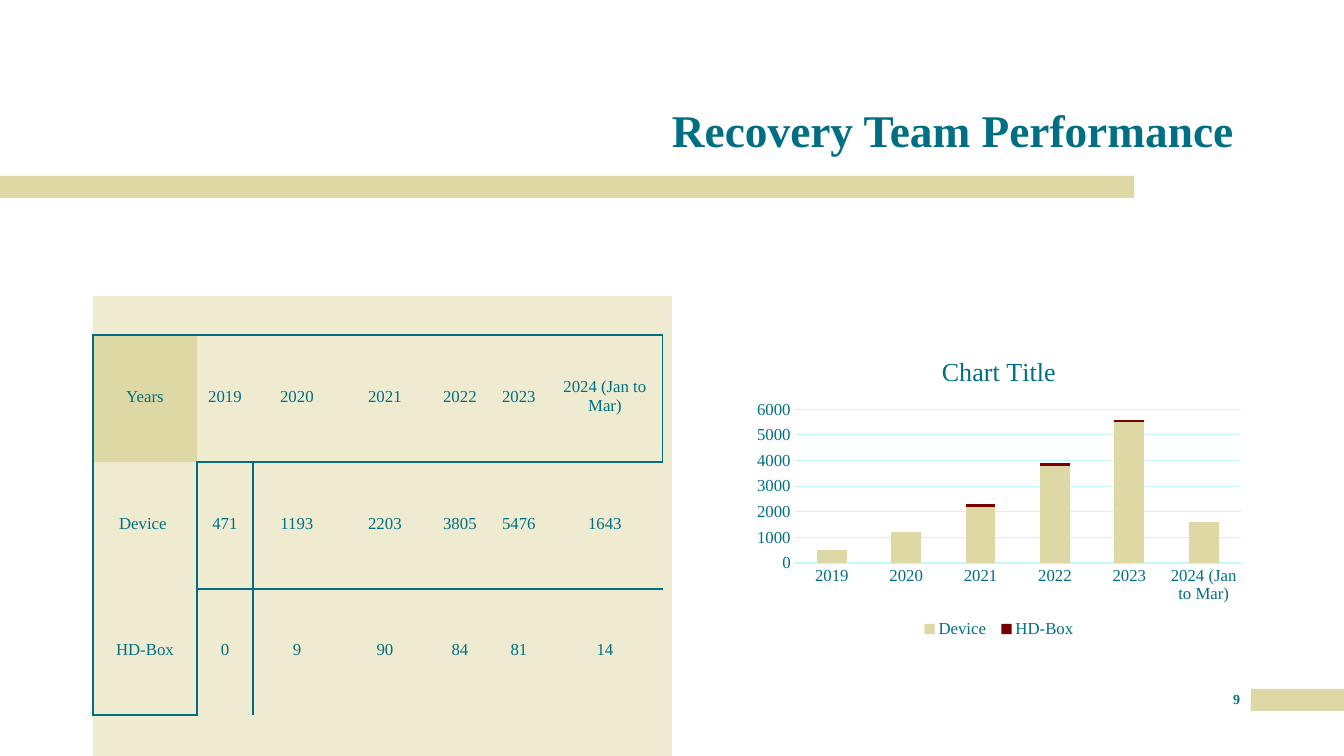
from dataclasses import dataclass
from typing import Any

from lxml import etree
from pptx import Presentation
from pptx.chart.data import CategoryChartData
from pptx.dml.color import RGBColor
from pptx.enum.chart import XL_CHART_TYPE, XL_LEGEND_POSITION, XL_TICK_MARK
from pptx.enum.shapes import MSO_SHAPE
from pptx.enum.text import MSO_ANCHOR, PP_ALIGN
from pptx.oxml.ns import qn
from pptx.util import Emu, Pt

RECT = MSO_SHAPE.RECTANGLE
STACKED = XL_CHART_TYPE.COLUMN_STACKED
BELOW = XL_LEGEND_POSITION.BOTTOM
NO_TICK = XL_TICK_MARK.NONE
LEFT, CENTER = PP_ALIGN.LEFT, PP_ALIGN.CENTER
TOP, MIDDLE, BOTTOM = MSO_ANCHOR.TOP, MSO_ANCHOR.MIDDLE, MSO_ANCHOR.BOTTOM

SCALE = 914400 / 100.8
FACE = "Times New Roman"
TEAL, SAND, RED, ICE = "006F83", "DED8A4", "790000", "C6F6FF"
PLAIN = "{2D5ABB26-0587-4C30-8999-92F81FD0307C}"  # no style, no grid

YEARS = ["2019", "2020", "2021", "2022", "2023", "2024 (Jan to Mar)"]
COLS = [104, 56, 88, 88, 62, 56, 116]
ROWS = [127, 127, 126]


@dataclass
class Box:
    x: int
    y: int
    w: int
    h: int

    def emu(self) -> list[Emu]:
        return [px(n) for n in (self.x, self.y, self.w, self.h)]


@dataclass
class Bar:
    box: Box
    alpha: int = 100


@dataclass
class Series:
    name: str
    color: str
    vals: list[int]


BARS = [
    Bar(Box(93, 296, 579, 460), alpha=50),
    Bar(Box(1251, 689, 93, 22)),
    Bar(Box(0, 176, 1134, 22)),
]
SERIES = [
    Series("Device ", SAND, [471, 1193, 2203, 3805, 5476, 1643]),
    Series("HD-Box", RED, [0, 9, 90, 84, 81, 14]),
]


def px(n: int) -> Emu:
    return Emu(round(n * SCALE))


def rgb(code: str) -> RGBColor:
    return RGBColor.from_string(code)


def put(obj: Any, vals: dict[str, Any]) -> None:
    for key, val in vals.items():
        setattr(obj, key, val)


def style(font: Any, size: float, bold: bool = False) -> None:
    put(font, {"name": FACE, "size": Pt(size), "bold": bold})
    font.color.rgb = rgb(TEAL)


def stroke(line: Any, code: str) -> None:
    line.color.rgb = rgb(code)
    line.width = Pt(0.75)


def draw_bar(slide: Any, bar: Bar) -> None:
    shape = slide.shapes.add_shape(RECT, *bar.box.emu())
    shape.shadow.inherit = False
    shape.line.fill.background()
    shape.fill.solid()
    shape.fill.fore_color.rgb = rgb(SAND)
    if bar.alpha < 100:
        tint = shape.fill._xPr.find(".//" + qn("a:srgbClr"))
        etree.SubElement(tint, qn("a:alpha"), val=str(bar.alpha * 1000))


def write(shape: Any, box: Box, text: str, size: float, align: Any, anchor: Any) -> None:
    left, top, width, height = box.emu()
    put(shape, {"left": left, "top": top, "width": width, "height": height})
    frame = shape.text_frame
    put(frame, {"word_wrap": True, "vertical_anchor": anchor, "margin_left": 0,
                "margin_top": 0, "margin_right": 0, "margin_bottom": 0})
    para = frame.paragraphs[0]
    para.alignment = align
    run = para.add_run()
    run.text = text
    style(run.font, size, bold=True)


def edges(row: int, col: int) -> str:
    """Sides of a cell that carry a line, in schema order."""
    rules = {
        "L": col == 0 or (col == 1 and row > 0),
        "R": (row == 0 and col == len(COLS) - 1) or (row > 0 and col < 2),
        "T": row == 0 or col > 0,
        "B": (row < 2 and col > 0) or (row == 2 and col == 0),
    }
    return "".join(side for side, on in rules.items() if on)


def border(cell: Any, sides: str) -> None:
    props = cell._tc.get_or_add_tcPr()
    for spot, side in enumerate(sides):
        line = etree.Element(qn("a:ln" + side), w=str(Pt(1)))
        fill = etree.SubElement(line, qn("a:solidFill"))
        etree.SubElement(fill, qn("a:srgbClr"), val=TEAL)
        props.insert(spot, line)


def draw_table(slide: Any, box: Box) -> None:
    rows = [["Years", *YEARS]] + [[s.name, *map(str, s.vals)] for s in SERIES]
    table = slide.shapes.add_table(len(rows), len(COLS), *box.emu()).table
    put(table, {"first_row": False, "horz_banding": False})
    table._tbl.tblPr.find(qn("a:tableStyleId")).text = PLAIN
    for col, width in zip(table.columns, COLS):
        col.width = px(width)
    for r, texts in enumerate(rows):
        table.rows[r].height = px(ROWS[r])
        for c, text in enumerate(texts):
            cell = table.cell(r, c)
            put(cell, {"text": text, "vertical_anchor": MIDDLE,
                       "margin_left": px(1), "margin_top": px(1),
                       "margin_right": px(1), "margin_bottom": px(5)})
            para = cell.text_frame.paragraphs[0]
            para.alignment = CENTER
            style(para.runs[0].font, 12)
            if r == c == 0:
                cell.fill.solid()
                cell.fill.fore_color.rgb = rgb(SAND)
            else:
                cell.fill.background()
            border(cell, edges(r, c))


def draw_chart(slide: Any, box: Box) -> None:
    data = CategoryChartData()
    data.categories = YEARS
    for item in SERIES:
        data.add_series(item.name, [round(val, -2) for val in item.vals])
    chart = slide.shapes.add_chart(STACKED, *box.emu(), data).chart
    style(chart.font, 12)
    put(chart, {"has_title": True, "has_legend": True})

    # Title and legend
    para = chart.chart_title.text_frame.paragraphs[0]
    run = para.add_run()
    run.text = "Chart Title"
    style(run.font, 18.6)
    chart.chart_title.include_in_layout = False
    put(chart.legend, {"position": BELOW, "include_in_layout": False})
    style(chart.legend.font, 12)

    # Columns
    plot = chart.plots[0]
    put(plot, {"gap_width": 150, "overlap": 100, "vary_by_categories": False})
    for series, item in zip(plot.series, SERIES):
        series.format.fill.solid()
        series.format.fill.fore_color.rgb = rgb(item.color)

    # Axes
    cat, val = chart.category_axis, chart.value_axis
    for axis in (cat, val):
        put(axis, {"major_tick_mark": NO_TICK, "minor_tick_mark": NO_TICK})
        style(axis.tick_labels.font, 12)
    put(val, {"minimum_scale": 0, "maximum_scale": 6000, "major_unit": 1000})
    val.format.line.fill.background()
    stroke(cat.format.line, ICE)
    stroke(val.major_gridlines.format.line, ICE)


def main() -> None:
    deck = Presentation()
    put(deck, {"slide_width": px(1344), "slide_height": px(756)})
    slide = deck.slides.add_slide(deck.slide_layouts[5])
    for bar in BARS:
        draw_bar(slide, bar)

    # Heading and page number
    title = slide.shapes.title
    write(title, Box(672, 89, 620, 68), "Recovery Team Performance", 32.4, LEFT, BOTTOM)
    title.text_frame.paragraphs[0].line_spacing = 0.9
    spot = Box(1222, 691, 29, 25)
    write(slide.shapes.add_textbox(*spot.emu()), spot, "9", 10, CENTER, TOP)

    # Figures
    draw_table(slide, Box(93, 335, sum(COLS), sum(ROWS)))
    draw_chart(slide, Box(747, 339, 504, 303))
    deck.save("out.pptx")


if __name__ == "__main__":
    main()
